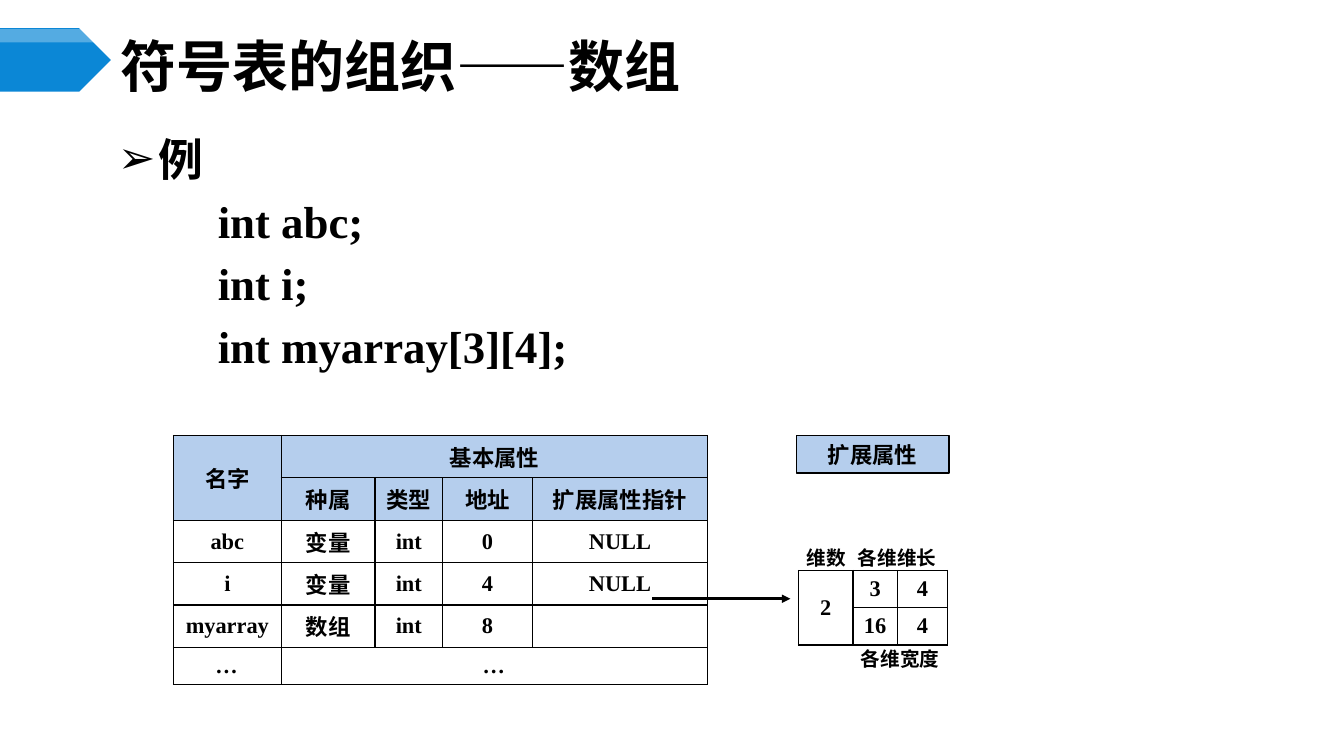
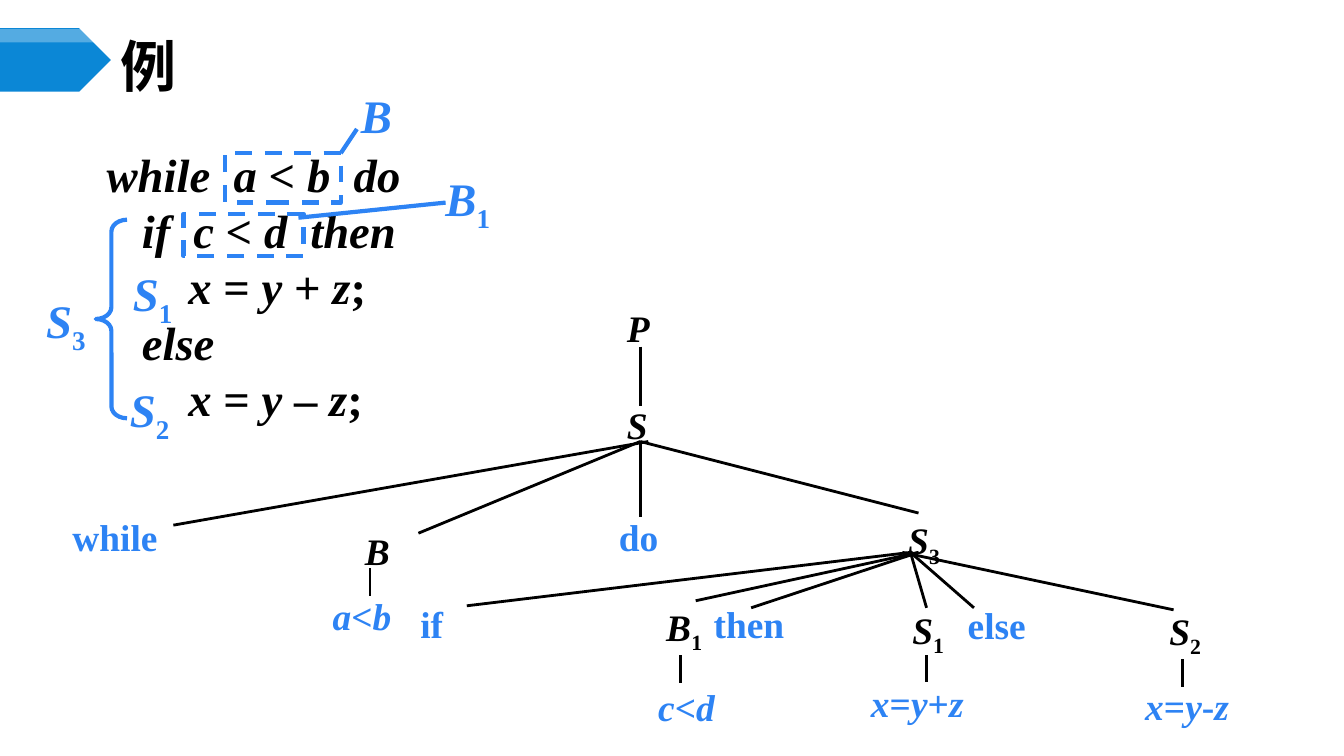
from itertools import groupby

from lxml import etree
from pptx import Presentation
from pptx.dml.color import RGBColor
from pptx.enum import dml, shapes, text
from pptx.oxml import ns
from pptx.util import Inches, Pt

BLACK = RGBColor(0x00, 0x00, 0x00)
WHITE = RGBColor(0xFF, 0xFF, 0xFF)
BAND_BLUE = RGBColor(0x0B, 0x87, 0xD6)
LABEL_BLUE = RGBColor(0x2D, 0x83, 0xF4)
HEADER_BLUE = RGBColor(0xB5, 0xCE, 0xED)

SERIF = "Times New Roman"
CJK = "Noto Sans CJK SC"
CAPTION = "Calibri"

CODE_SIZE = 33.3
TREE_SIZE = 26.7


# Shared helpers

def apply(target, formats):
    for name, value in formats.items():
        setattr(target, name, value)


def add_xml(parent, tag, **attributes):
    return etree.SubElement(parent, ns.qn(tag), attributes)


def box(left, top, width, height):
    return [Inches(value) for value in (left, top, width, height)]


def add_run(paragraph, words, size, font=SERIF, color=BLACK, italic=False):
    run = paragraph.add_run()
    run.text = words
    apply(run.font, {"size": Pt(size), "name": font, "bold": True, "italic": italic})
    run.font.color.rgb = color
    add_xml(run.font._element, "a:ea", typeface=CJK)
    return run


def add_math(paragraph, formula, size, color):
    """Letters are italic, digits are subscripts, everything else is upright."""
    def kind(character):
        return "letter" if character.isalpha() else "digit" if character.isdigit() else "sign"

    for group, characters in groupby(formula, kind):
        run = add_run(paragraph, "".join(characters), size, color=color, italic=group == "letter")
        if group == "digit":
            run.font._element.set("baseline", "-25000")


def add_text_box(slide, place, vertical_inset=0.05):
    frame = slide.shapes.add_textbox(*box(*place)).text_frame
    apply(frame, {"word_wrap": True, "margin_top": Inches(vertical_inset),
                  "margin_bottom": Inches(vertical_inset)})
    return frame.paragraphs[0]


def add_shape(slide, kind, place, fill=None, line=None, width=1.0, dash=None):
    shape = slide.shapes.add_shape(kind, *box(*place))
    shape.shadow.inherit = False
    if fill is None:
        shape.fill.background()
    else:
        shape.fill.solid()
        shape.fill.fore_color.rgb = fill
    if line is None:
        shape.line.fill.background()
    else:
        shape.line.color.rgb = line
        apply(shape.line, {"width": Pt(width), "dash_style": dash})
    return shape


def add_line(slide, start, end, color=BLACK, width=2, arrow=False):
    points = [Inches(value) for value in (*start, *end)]
    connector = slide.shapes.add_connector(shapes.MSO_CONNECTOR.STRAIGHT, *points)
    connector.line.color.rgb = color
    connector.line.width = Pt(width)
    if arrow:
        add_xml(connector.line._get_or_add_ln(), "a:tailEnd", type="triangle")
    add_xml(connector._element.spPr, "a:effectLst")


def add_titled_slide(presentation, layout_index, title):
    slide = presentation.slides.add_slide(presentation.slide_layouts[layout_index])
    # Arrow band with a lighter strip along its top
    plate = shapes.MSO_SHAPE.PENTAGON
    add_shape(slide, plate, (0, 0.28, 1.1, 0.63), BAND_BLUE)
    strip = add_shape(slide, plate, (0, 0.29, 1.1, 0.13), WHITE)
    strip_color = strip._element.spPr.find(ns.qn("a:solidFill"))[0]
    add_xml(strip_color, "a:alpha", val="30000")
    # Title
    place_frame(slide.shapes.title, (1.1, 0.39, 11.56, 0.52), text.MSO_ANCHOR.MIDDLE)
    paragraph = slide.shapes.title.text_frame.paragraphs[0]
    paragraph.alignment = text.PP_ALIGN.LEFT
    add_run(paragraph, title, 40, CJK)
    return slide


def place_frame(placeholder, place, anchor):
    apply(placeholder, dict(zip(("left", "top", "width", "height"), box(*place))))
    apply(placeholder.text_frame, {"auto_size": text.MSO_AUTO_SIZE.NONE,
                                   "vertical_anchor": anchor, "word_wrap": True})


# Symbol table slide

def add_declarations(body, heading, declarations):
    place_frame(body, (0.63, 1.23, 12.29, 4.7), text.MSO_ANCHOR.TOP)
    frame = body.text_frame
    for index, words in enumerate([heading, *declarations]):
        paragraph = frame.add_paragraph() if index else frame.paragraphs[0]
        apply(paragraph, {"line_spacing": Pt(40), "space_before": Pt(4.6),
                          "alignment": text.PP_ALIGN.LEFT})
        properties = paragraph._element.get_or_add_pPr()
        margin, indent = (1.43, 0) if index else (0.84, -0.4)
        properties.set("marL", str(Inches(margin)))
        properties.set("indent", str(Inches(indent)))
        if index:
            add_xml(properties, "a:buNone")
        else:
            add_xml(properties, "a:buChar", char="➢")
        add_run(paragraph, words, 32)


def add_borders(cell):
    properties = cell._tc.get_or_add_tcPr()
    for index, side in enumerate("LRTB"):
        line = add_xml(properties, f"a:ln{side}", w=str(Pt(1)))
        fill = add_xml(line, "a:solidFill")
        add_xml(fill, "a:srgbClr", val=str(BLACK))
        properties.insert(index, line)


def add_grid(slide, left, top, widths, heights, rows, merges, header_rows=0):
    frame = slide.shapes.add_table(len(rows), len(widths),
                                   *box(left, top, sum(widths), sum(heights)))
    table = frame.table
    apply(table, {"first_row": False, "horz_banding": False})
    for column, width in zip(table.columns, widths):
        column.width = Inches(width)
    for row, height in zip(table.rows, heights):
        row.height = Inches(height)
    for first, last in merges:
        table.cell(*first).merge(table.cell(*last))
    for row_index, row in enumerate(rows):
        for column_index, words in enumerate(row):
            cell = table.cell(row_index, column_index)
            cell.vertical_anchor = text.MSO_ANCHOR.MIDDLE
            if row_index < header_rows:
                cell.fill.solid()
                cell.fill.fore_color.rgb = HEADER_BLUE
            else:
                cell.fill.background()
            add_borders(cell)
            paragraph = cell.text_frame.paragraphs[0]
            paragraph.alignment = text.PP_ALIGN.CENTER
            if words:
                font = CJK if "一" <= words[0] <= "鿿" else SERIF
                add_run(paragraph, words, 16, font, italic=words == "…")


def build_array_slide(presentation):
    slide = add_titled_slide(presentation, 1, "符号表的组织——数组")
    add_declarations(slide.placeholders[1], "例",
                     ["int abc;", "int i;", "int myarray[3][4];"])

    # Symbol table with basic attributes
    add_grid(slide, 1.72, 4.32, [1.07, 0.93, 0.67, 0.89, 1.74], [0.42] * 5 + [0.37], [
        ["名字", "基本属性", "", "", ""],
        ["", "种属", "类型", "地址", "扩展属性指针"],
        ["abc", "变量", "int", "0", "NULL"],
        ["i", "变量", "int", "4", "NULL"],
        ["myarray", "数组", "int", "8", ""],
        ["…", "…", "", "", ""],
    ], [((0, 0), (1, 0)), ((0, 1), (0, 4)), ((5, 1), (5, 4))], header_rows=2)

    # Extended attributes of the array
    add_grid(slide, 7.92, 5.66, [0.54, 0.44, 0.5], [0.37] * 2,
             [["2", "3", "4"], ["", "16", "4"]], [((0, 0), (1, 0))])
    add_line(slide, (6.47, 5.94), (7.84, 5.94), arrow=True)
    header = add_shape(slide, shapes.MSO_SHAPE.RECTANGLE, (7.9, 4.32, 1.51, 0.37),
                       HEADER_BLUE, BLACK, 1.25)
    paragraph = header.text_frame.paragraphs[0]
    paragraph.alignment = text.PP_ALIGN.CENTER
    add_run(paragraph, "扩展属性", 16, CAPTION)
    for caption, left, top in [("维数", 7.9, 5.37), ("各维维长", 8.41, 5.37),
                               ("各维宽度", 8.44, 6.37)]:
        add_run(add_text_box(slide, (left, top, 1.1, 0.34)), caption, 14, CAPTION)


# Syntax tree slide

def add_code(slide, lines):
    first = add_text_box(slide, (0.96, 1.49, 5.23, 2.9))
    frame = first._parent
    for index, (code, stops) in enumerate(lines):
        paragraph = frame.add_paragraph() if index else first
        apply(paragraph, {"line_spacing": Pt(CODE_SIZE),
                          "space_before": Pt(6.7 if index else 0)})
        tabs = add_xml(paragraph._element.get_or_add_pPr(), "a:tabLst")
        for stop in stops:
            add_xml(tabs, "a:tab", pos=str(Inches(stop)), algn="l")
        add_math(paragraph, code, CODE_SIZE, BLACK)


def add_annotations(slide):
    for name, left, top in [("S1", 1.22, 2.58), ("S2", 1.19, 3.73), ("S3", 0.36, 2.85),
                            ("B", 3.48, 0.81), ("B1", 4.32, 1.64)]:
        add_math(add_text_box(slide, (left, top, 1, 0.66)), name, CODE_SIZE, LABEL_BLUE)
    brace = add_shape(slide, shapes.MSO_SHAPE.LEFT_BRACE, (0.95, 2.18, 0.31, 1.97),
                      line=LABEL_BLUE, width=3)
    brace.adjustments[0] = 0.38
    for place in [(2.23, 1.52, 1.15, 0.49), (1.82, 2.12, 1.19, 0.42)]:
        add_shape(slide, shapes.MSO_SHAPE.RECTANGLE, place, line=LABEL_BLUE, width=3,
                  dash=dml.MSO_LINE.DASH)
    for start, end in [((3.54, 1.28), (3.38, 1.52)), ((4.42, 2.01), (2.96, 2.16))]:
        add_line(slide, start, end, LABEL_BLUE, 3)


def add_tree(slide):
    # Branches from each parent, then the upright stems
    branches = {
        (6.35, 4.38): [(9.11, 5.09), (6.35, 5.13), (4.15, 5.29)],
        (6.43, 4.38): [(1.72, 5.21)],
        (9.11, 5.48): [(7.45, 6.03), (6.9, 5.96)],
        (9.03, 5.48): [(9.66, 6.03), (9.19, 6.03), (4.63, 6.01)],
        (8.95, 5.48): [(11.64, 6.05)],
    }
    stems = [(6.35, 3.44, 4.03), (3.67, 5.64, 5.91), (6.75, 6.5, 6.78),
             (9.19, 6.5, 6.77), (11.73, 6.54, 6.82)]
    for parent, children in branches.items():
        for child in children:
            add_line(slide, parent, child)
    for x, top, bottom in stems:
        add_line(slide, (x, top), (x, bottom))

    # Nodes: nonterminals, keywords and expressions
    nonterminals = [("P", 6.12, 3.1), ("S", 6.12, 4.07), ("B", 3.52, 5.32), ("S3", 8.91, 5.17),
                    ("B1", 6.51, 6.03), ("S1", 8.95, 6.06), ("S2", 11.5, 6.07)]
    keywords = [("while", 0.62, 5.09), ("do", 6.04, 5.09), ("if", 4.07, 5.95),
                ("then", 6.98, 5.95), ("else", 9.5, 5.96)]
    expressions = [("a<b", 3.2, 5.87), ("c<d", 6.43, 6.78),
                   ("x=y+z", 8.54, 6.74), ("x=y-z", 11.26, 6.77)]
    for name, left, top in nonterminals:
        paragraph = add_text_box(slide, (left, top, 1.2, 0.39), 0.01)
        paragraph.line_spacing = 0.8
        add_math(paragraph, name, TREE_SIZE, BLACK)
    for word, left, top in keywords:
        paragraph = add_text_box(slide, (left, top, 1.2, 0.39), 0.01)
        add_run(paragraph, word, TREE_SIZE, color=LABEL_BLUE)
    for formula, left, top in expressions:
        paragraph = add_text_box(slide, (left, top, 1.2, 0.39), 0.01)
        add_math(paragraph, formula, TREE_SIZE, LABEL_BLUE)


def build_tree_slide(presentation):
    slide = add_titled_slide(presentation, 5, "例")
    add_code(slide, [
        ("while\ta < b\tdo", [1.26, 2.45]),
        ("\tif\tc < d\tthen", [0.35, 0.86, 2.02]),
        ("\tx = y + z;", [0.81]),
        ("\telse", [0.35]),
        ("\tx = y – z;", [0.81]),
    ])
    add_annotations(slide)
    add_tree(slide)


def main():
    presentation = Presentation()
    apply(presentation, {"slide_width": Inches(13.33), "slide_height": Inches(7.5)})
    build_array_slide(presentation)
    build_tree_slide(presentation)
    presentation.save("out.pptx")


if __name__ == "__main__":
    main()
